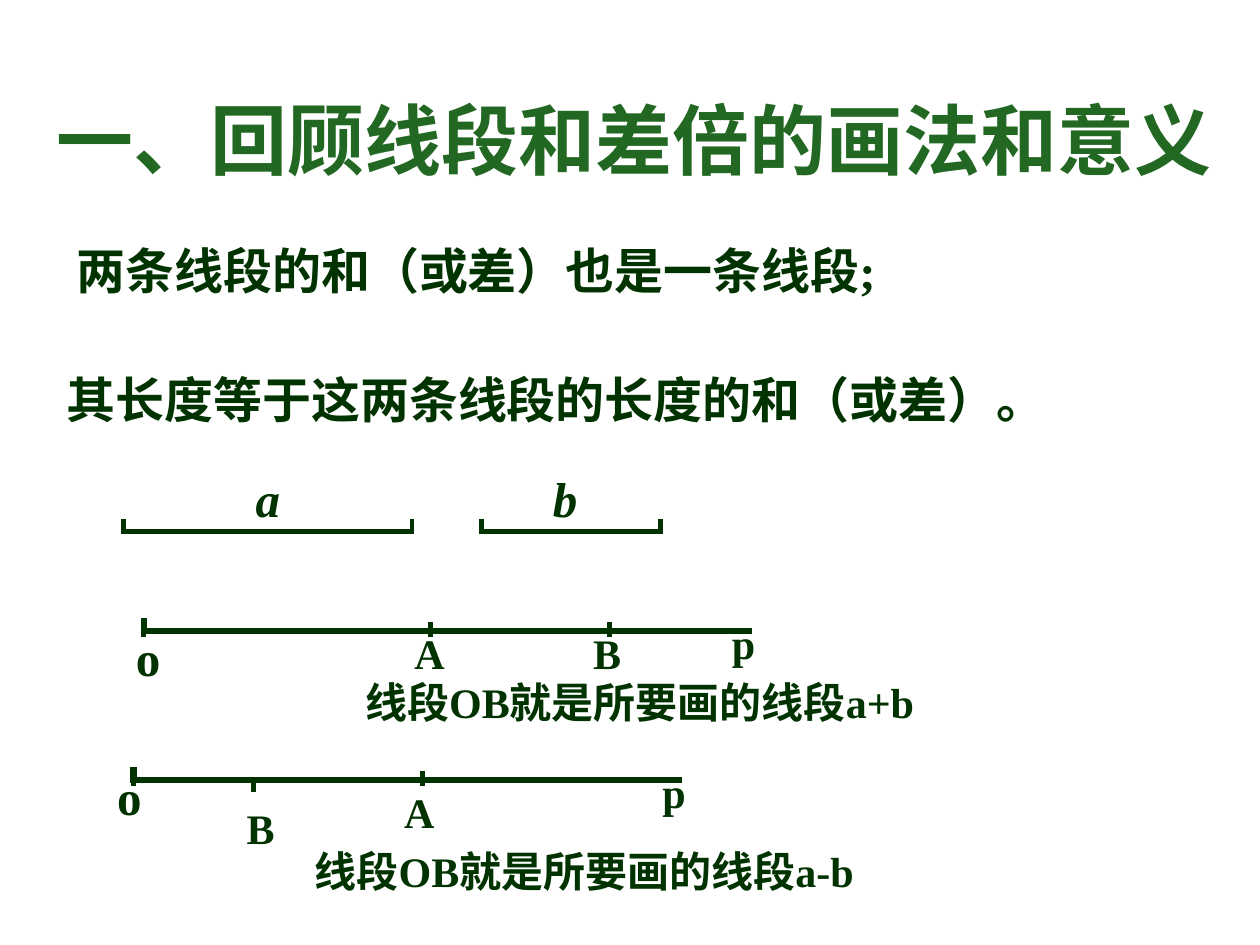
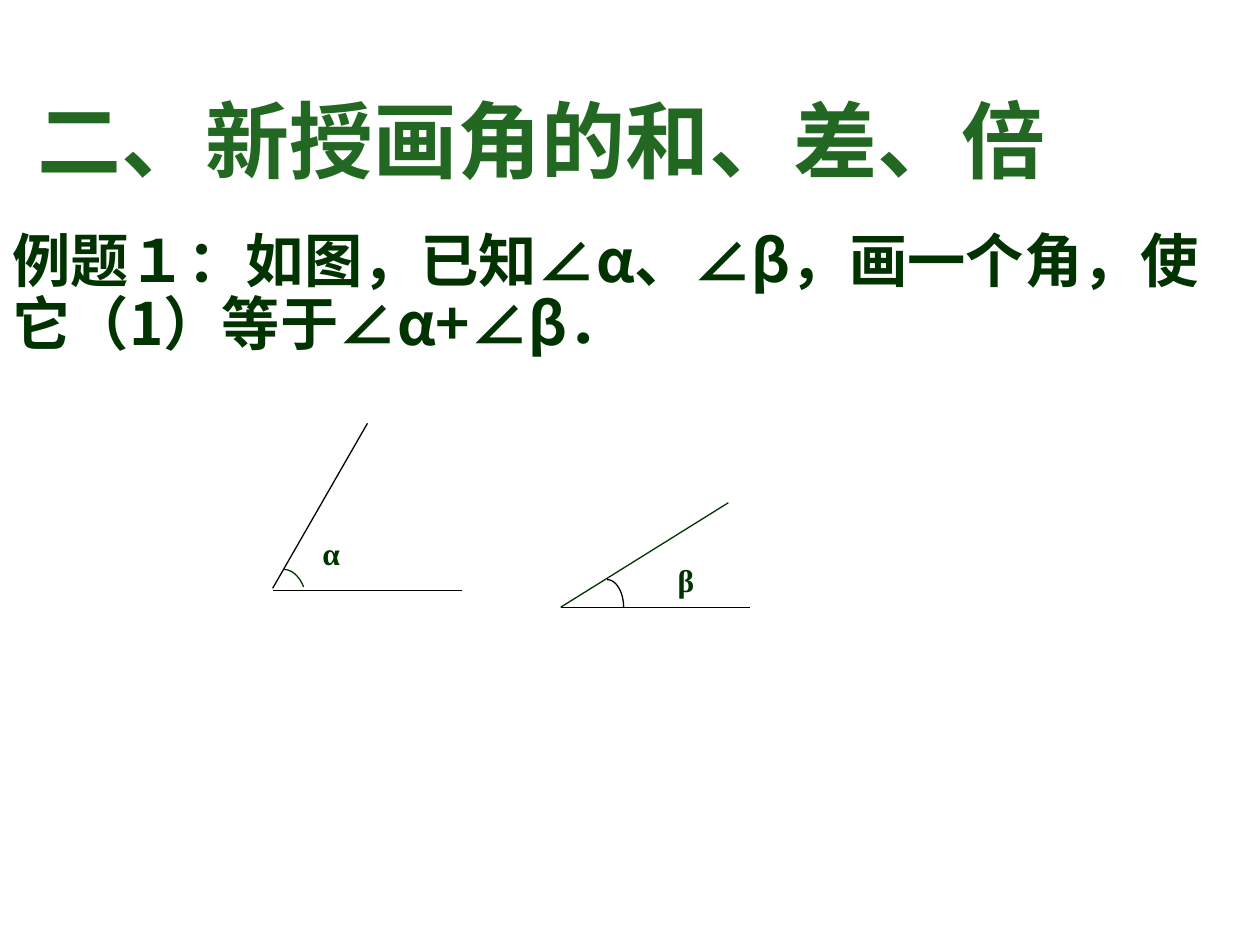
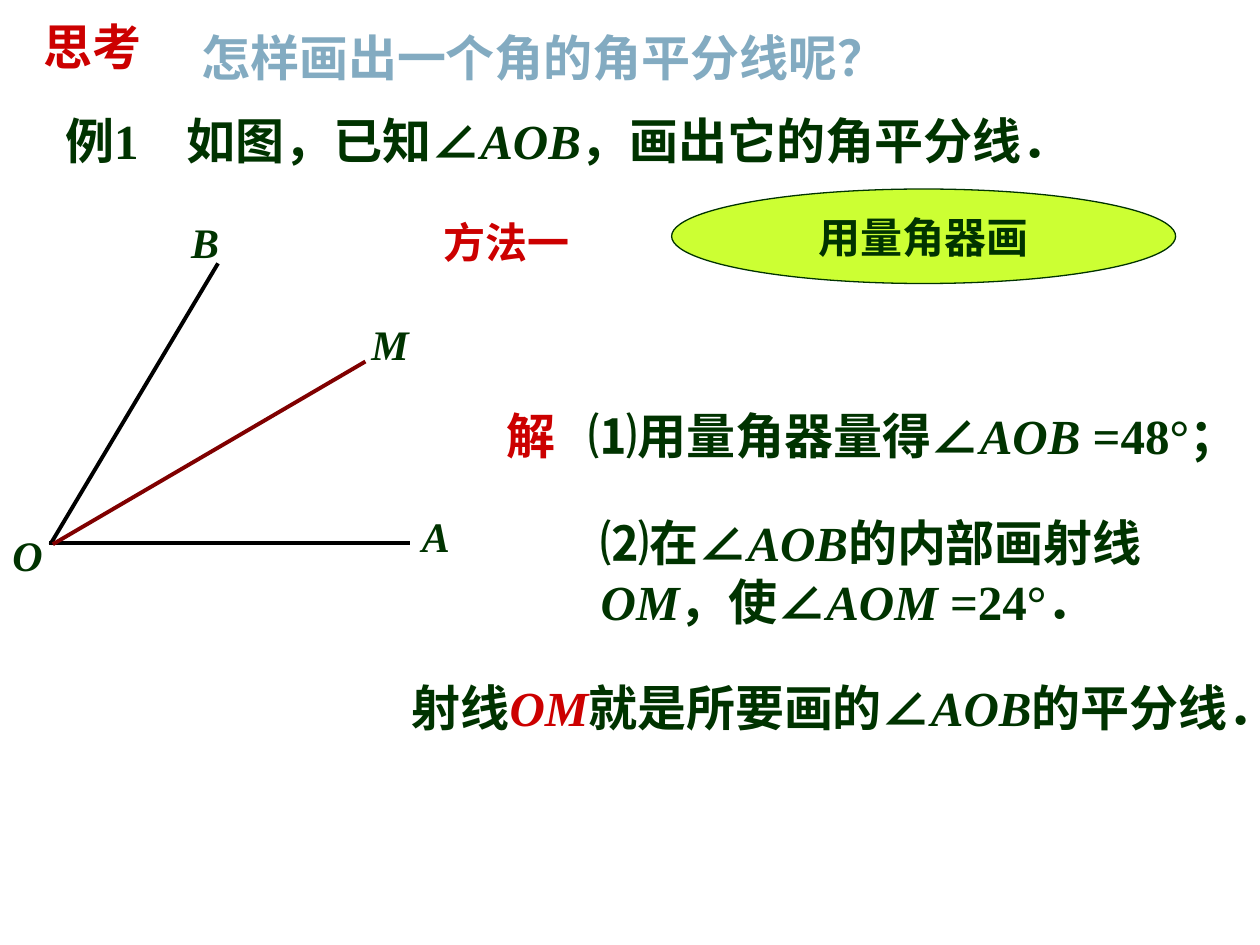
from dataclasses import dataclass

from lxml.etree import SubElement
from pptx import Presentation
from pptx.dml.color import RGBColor
from pptx.enum.shapes import MSO_CONNECTOR, MSO_SHAPE
from pptx.enum.text import MSO_ANCHOR, MSO_AUTO_SIZE, PP_ALIGN
from pptx.oxml.ns import qn
from pptx.util import Pt


@dataclass(frozen=True)
class Theme:
    ink: str = "003300"
    title: str = "226822"
    accent: str = "CC0000"
    question: str = "83ABC1"
    bisector: str = "800000"
    lime: str = "CCFF33"
    black: str = "000000"
    white: str = "FFFFFF"
    serif: str = "Times New Roman"
    sans: str = "Arial"
    heading: str = "DejaVu Sans"
    chinese: str = "Noto Sans CJK SC"
    review_title: float = 44
    lesson_title: float = 48
    example: float = 33.3
    body: float = 28
    label: float = 24
    angle: float = 18
    tick: float = 2.75
    thick: float = 3.5
    thin: float = 0.75
    side: float = 2.25


theme = Theme()
italic = {"italic": True}


def write(shape, size, runs, font=theme.serif, color=theme.ink,
          anchor=MSO_ANCHOR.TOP, align=PP_ALIGN.LEFT, tab=None):
    frame = shape.text_frame
    frame.word_wrap = True
    frame.auto_size = MSO_AUTO_SIZE.NONE
    frame.vertical_anchor = anchor
    paragraph = frame.paragraphs[0]
    paragraph.alignment = align
    if tab:
        tab_list = SubElement(paragraph._p.get_or_add_pPr(), qn("a:tabLst"))
        SubElement(tab_list, qn("a:tab"), pos=str(Pt(tab)), algn="l")
    for text, style in runs:
        run = paragraph.add_run()
        run.text = text
        run.font.size = Pt(size)
        run.font.bold = True
        run.font.italic = style.get("italic", False)
        run.font.color.rgb = RGBColor.from_string(style.get("color", color))
        run.font.name = style.get("font", font)
        SubElement(run._r.get_or_add_rPr(), qn("a:ea"), typeface=theme.chinese)
    return paragraph


def draw_line(slide, start, end, width, color=theme.ink, cap="flat"):
    connector = slide.shapes.add_connector(
        MSO_CONNECTOR.STRAIGHT, *map(Pt, (*start, *end)))
    connector.line.width = Pt(width)
    connector.line.color.rgb = RGBColor.from_string(color)
    connector.get_or_add_ln().set("cap", cap)
    SubElement(connector._element.spPr, qn("a:effectLst"))


presentation = Presentation()
presentation.slide_width = Pt(720)
presentation.slide_height = Pt(540)
title_layout = presentation.slide_layouts[5]
blank_layout = presentation.slide_layouts[6]

titled_slides = []
for text, size, left, width in (
    ("一、回顾线段和差倍的画法和意义", theme.review_title, 25.2, 680.4),
    ("二、新授画角的和、差、倍", theme.lesson_title, 14.4, 720),
):
    slide = presentation.slides.add_slide(title_layout)
    title = slide.shapes.title
    title.left, title.top, title.width, title.height = map(Pt, (left, 43.2, width, 72))
    write(title, size, [(text, {})], theme.heading, theme.title, MSO_ANCHOR.MIDDLE)
    titled_slides.append(slide)
review_slide, lesson_slide = titled_slides

for text, size, left, top, width in (
    ("两条线段的和（或差）也是一条线段;", theme.body, 36.7, 133.9, 657),
    ("其长度等于这两条线段的长度的和（或差）。", theme.body, 31, 207.4, 607),
    ("线段OB就是所要画的线段a+b", theme.label, 201.6, 383, 380),
    ("线段OB就是所要画的线段a-b", theme.label, 172.8, 479.5, 380),
):
    box = review_slide.shapes.add_textbox(*map(Pt, (left, top, width, size + 13)))
    write(box, size, [(text, {})])

review_lines = []
for name, left, right, label_left in (("a", 70.6, 235.4, 139), ("b", 275, 377.3, 308.9)):
    review_lines.append(((left, 303.8), (right, 303.8), theme.tick))
    for x in (left, right):
        review_lines.append(((x, 298), (x, 303.8), theme.tick))
    box = review_slide.shapes.add_textbox(*map(Pt, (label_left, 264.2, 28, 41)))
    write(box, theme.body, [(name, italic)])

label_widths = {"o": 28, "A": 57, "B": 30, "p": 28}
rays = (
    (82.1, 427.7, 360.7, ((82.1, 357.1), (246.2, 357.1), (348.5, 357.1)),
     (("o", 70.6, 355), ("A", 229.7, 355), ("B", 331.9, 355), ("p", 411.1, 349.2))),
    (76.3, 388.1, 445.7, ((76.3, 442.1), (241.2, 442.1), (144.7, 445.7)),
     (("o", 59.8, 434.2), ("A", 223.9, 445.7), ("B", 133.9, 455), ("p", 371.5, 434.2))),
)
for origin, end, y, ticks, labels in rays:
    review_lines.append(((origin, y), (end, y), theme.thick))
    review_lines.append(((origin, y - 5.7), (origin, y), theme.thick))
    for x, top in ticks:
        review_lines.append(((x, top), (x, top + 5.6), theme.tick))
    for name, left, top in labels:
        size = theme.body if name == "o" else theme.label
        box = review_slide.shapes.add_textbox(
            *map(Pt, (left, top, label_widths[name], size + 13)))
        write(box, size, [(name, {})])

for start, end, width in review_lines:
    draw_line(review_slide, start, end, width, cap="sq")

box = lesson_slide.shapes.add_textbox(*map(Pt, (0, 122.4, 720, 92.2)))
example = write(
    box, theme.example,
    [("例题１：如图，已知∠α、∠β，画一个角，使它（1）等于∠α+∠β．", {})],
    theme.chinese, anchor=MSO_ANCHOR.MIDDLE)
example.line_spacing = 0.9

angles = (
    ("α", (177.1, 301.7, 26.6, 27.4), (155.8, 337.4), (263.8, 337.4),
     (155.8, 336.2), (210, 241.9), theme.black,
     ((162, 325.4), (167, 325.4), (171.4, 329.8), (173.5, 335.5)), theme.ink),
    ("β", (380.2, 316.8, 36, 31), (320.4, 347), (428.4, 347),
     (320.4, 347), (416.2, 287.3), theme.ink,
     ((347, 331.2), (352.1, 331.2), (356.4, 338.4), (356.4, 347)), theme.black),
)
for name, place, base_start, base_end, side_start, side_end, side_color, curve, arc_color in angles:
    label = lesson_slide.shapes.add_shape(MSO_SHAPE.RECTANGLE, *map(Pt, place))
    label.shadow.inherit = False
    label.fill.solid()
    label.fill.fore_color.rgb = RGBColor.from_string(theme.white)
    label.line.color.rgb = RGBColor.from_string(theme.white)
    label.line.width = Pt(theme.thin)
    write(label, theme.angle, [(name, {})])
    draw_line(lesson_slide, base_start, base_end, theme.thin, theme.black)
    draw_line(lesson_slide, side_start, side_end, theme.thin, side_color)
    points = []
    for step in range(17):
        t = step / 16
        weights = ((1 - t) ** 3, 3 * t * (1 - t) ** 2, 3 * t ** 2 * (1 - t), t ** 3)
        points.append(tuple(
            Pt(sum(weight * point[axis] for weight, point in zip(weights, curve)))
            for axis in (0, 1)))
    builder = lesson_slide.shapes.build_freeform(*points[0])
    builder.add_line_segments(points[1:], close=False)
    arc = builder.convert_to_shape()
    arc.shadow.inherit = False
    arc.fill.background()
    arc.line.color.rgb = RGBColor.from_string(arc_color)
    arc.line.width = Pt(theme.thin)

bisector_slide = presentation.slides.add_slide(blank_layout)
red = {"color": theme.accent}
for place, size, font, color, tab, runs in (
    ((108, 12.2, 534, 41), theme.body, theme.sans, theme.question, None,
     [("怎样画出一个角的角平分线呢？", {})]),
    ((18, 5.8, 96, 41), theme.body, theme.sans, theme.accent, None, [("思考", {})]),
    ((30.2, 59.8, 612, 41), theme.body, theme.serif, theme.ink, 69.5,
     [("例1\t如图，已知∠", {}), ("AOB", italic), ("，画出它的角平分线．", {})]),
    ((246.2, 120.2, 114, 36), theme.label, theme.sans, theme.accent, None, [("方法一", {})]),
    ((282.2, 228.2, 468, 41), theme.body, theme.serif, theme.ink, 47,
     [("解", red), ("\t⑴用量角器量得∠", {}), ("AOB", italic), (" =48°；", {})]),
    ((336.2, 289.4, 342, 75), theme.body, theme.serif, theme.ink, None,
     [("⑵在∠", {}), ("AOB", italic), ("的内部画射线", {}), ("OM", italic),
      ("，使∠", {}), ("AOM", italic), (" =24°．", {})]),
    ((228.2, 383.8, 485, 75), theme.body, theme.serif, theme.ink, None,
     [("射线", {"font": theme.sans}), ("OM", italic | red), ("就是所要画的∠", {}),
      ("AOB", italic), ("的平分线．", {})]),
):
    box = bisector_slide.shapes.add_textbox(*map(Pt, place))
    write(box, size, runs, font, color, tab=tab)

for start, end, color in (
    ((28.8, 311), (124.6, 150.5), theme.black),
    ((28.1, 310.3), (234, 310.3), theme.black),
    ((30.2, 311), (208.8, 206.6), theme.bisector),
):
    draw_line(bisector_slide, start, end, theme.side, color)

for name, left, top in (("A", 234, 288), ("O", 0, 298.8), ("B", 102.2, 120.2), ("M", 205.2, 178.6)):
    box = bisector_slide.shapes.add_textbox(*map(Pt, (left, top, 41, 49.5)))
    write(box, theme.label, [(name, italic)])

ellipse = bisector_slide.shapes.add_shape(MSO_SHAPE.OVAL, *map(Pt, (383.8, 108, 288, 54)))
ellipse.shadow.inherit = False
ellipse.fill.solid()
ellipse.fill.fore_color.rgb = RGBColor.from_string(theme.lime)
ellipse.line.color.rgb = RGBColor.from_string(theme.ink)
ellipse.line.width = Pt(theme.thin)
write(ellipse, theme.label, [("用量角器画", {})], theme.sans,
      anchor=MSO_ANCHOR.MIDDLE, align=PP_ALIGN.CENTER)

presentation.save("out.pptx")
